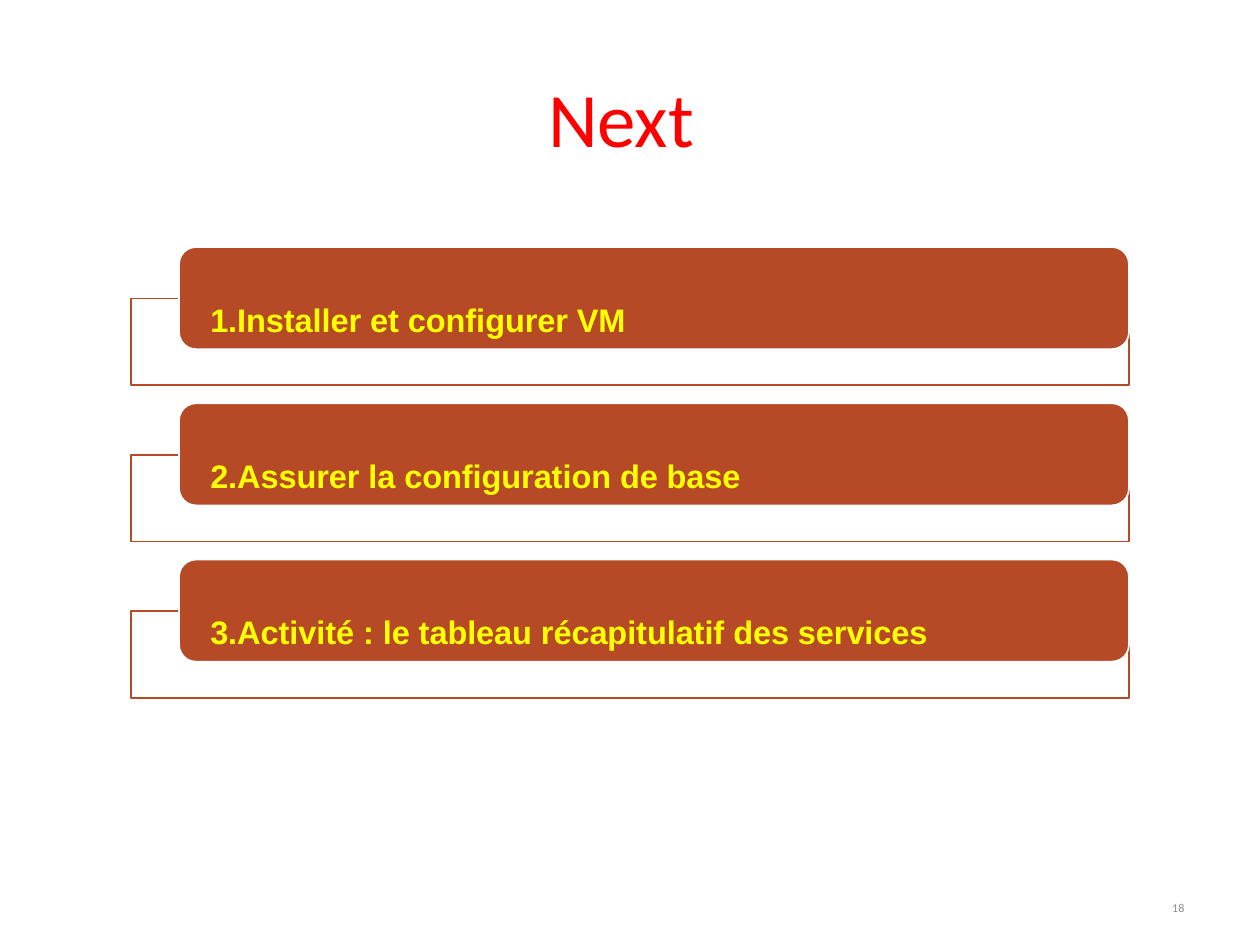
from lxml import etree
from pptx import Presentation, util as u
from pptx.dml.color import RGBColor
from pptx.enum import shapes, text
from pptx.oxml.ns import qn


def rgb(value):
    return RGBColor.from_string(value)


class Deck:
    RUST, WHITE, YELLOW, RED, GREY = "B64926", "FFFFFF", "FFFF00", "FF0000", "8C8C8C"

    def __init__(self, prs):
        self.s = prs.slides.add_slide(prs.slide_layouts[6])

    def box(self, parent, kind, at, fill, line, alpha=None):
        sp = parent.add_shape(kind, *map(u.Cm, at))
        sp.shadow.inherit = False
        sp.fill.solid()
        sp.fill.fore_color.rgb = rgb(fill)
        sp.line.color.rgb = rgb(line)
        sp.line.width = u.Pt(1)
        if alpha is not None:
            color = sp.fill._xPr.find(qn("a:solidFill"))[0]
            etree.SubElement(color, qn("a:alpha")).set("val", str(alpha * 1000))
        return sp

    def label(self, parent, at, words, size, color, align, font="Calibri",
              bold=False, lowered=False):
        sp = parent.add_textbox(*map(u.Cm, at))
        tf = sp.text_frame
        tf.text = words
        tf.word_wrap = True
        tf.vertical_anchor = text.MSO_ANCHOR.MIDDLE
        p = tf.paragraphs[0]
        p.alignment = align
        r = p.runs[0]
        r.font.name, r.font.size, r.font.bold = font, u.Pt(size), bold
        r.font.color.rgb = rgb(color)
        if lowered:
            r.font._element.set("baseline", "-25000")
        return sp

    def step(self, top, words):
        # Outlined panel behind the banner
        self.box(self.s.shapes, shapes.MSO_SHAPE.RECTANGLE,
                 (2.64, top + 1.04, 20.12, 1.75), self.WHITE, self.RUST, alpha=90)
        # Banner and its text
        group = self.s.shapes.add_group_shape().shapes
        self.box(group, shapes.MSO_SHAPE.ROUNDED_RECTANGLE,
                 (3.61, top, 19.15, 2.06), self.RUST, self.WHITE)
        sp = self.label(group, (3.71, top + 0.1, 18.95, 1.85), words, 32, self.YELLOW,
                        text.PP_ALIGN.LEFT, "Arial", bold=True, lowered=True)
        tf = sp.text_frame
        tf.margin_left = tf.margin_right = u.Cm(0.53)
        tf.margin_top = tf.margin_bottom = 0
        tf.paragraphs[0].line_spacing = 0.9


def main():
    prs = Presentation()
    prs.slide_width, prs.slide_height = u.Cm(25.4), u.Cm(19.05)
    deck = Deck(prs)

    # Title
    deck.label(deck.s.shapes, (1.27, 0.76, 22.86, 3.18), "Next ", 44, deck.RED,
               text.PP_ALIGN.CENTER)

    # Slide number
    deck.label(deck.s.shapes, (18.21, 17.65, 5.92, 1.02), "18", 12, deck.GREY,
               text.PP_ALIGN.RIGHT, lowered=True)

    # Steps
    steps = (
        "1.Installer et configurer VM",
        "2.Assurer la configuration de base",
        "3.Activité : le tableau récapitulatif des services",
    )
    for i, words in enumerate(steps):
        deck.step(4.98 + i * 3.15, words)

    prs.save("out.pptx")


if __name__ == "__main__":
    main()
